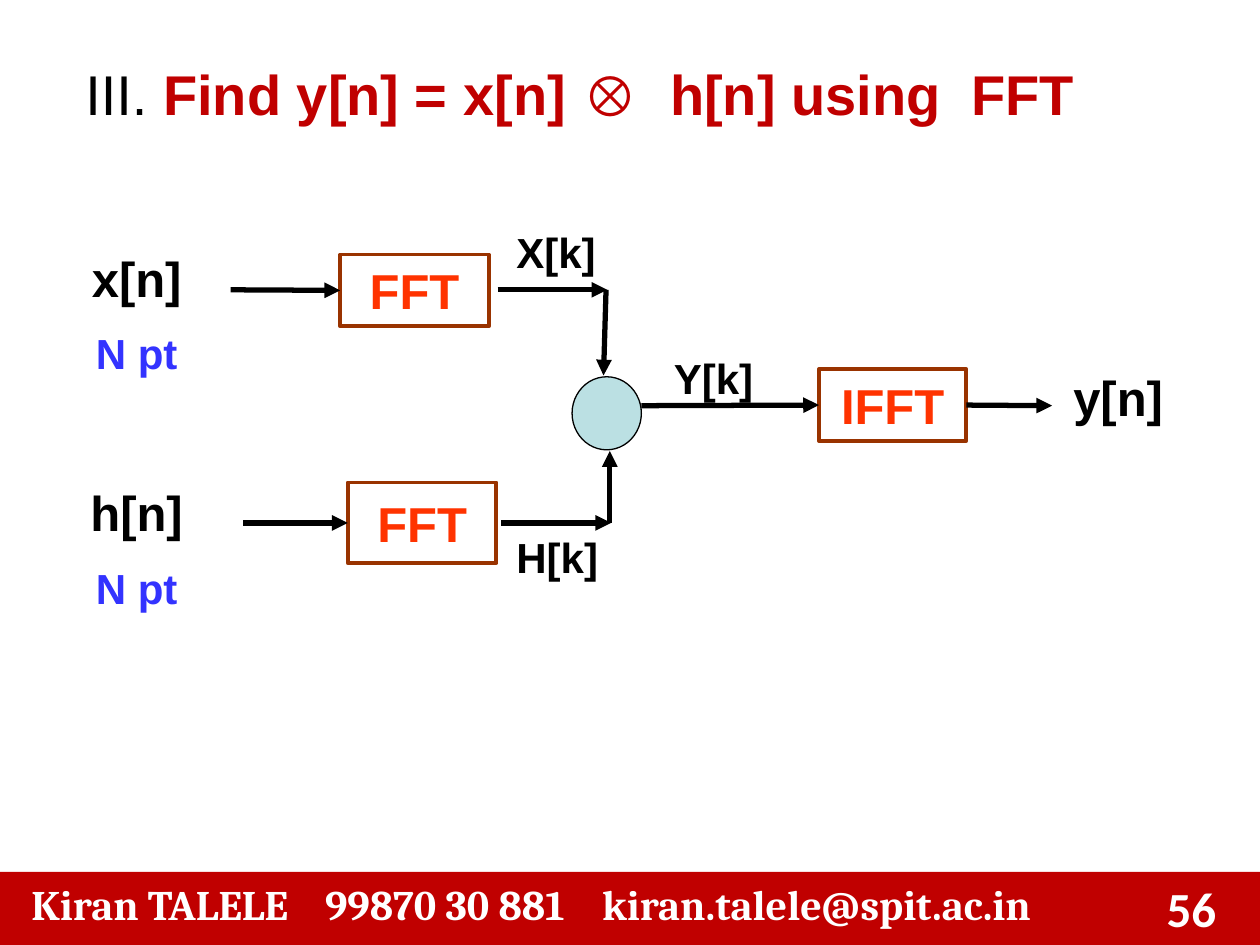
from lxml import etree
from pptx import Presentation
from pptx.dml.color import RGBColor
from pptx.enum.shapes import MSO_CONNECTOR, MSO_SHAPE
from pptx.enum.text import MSO_ANCHOR, PP_ALIGN
from pptx.oxml.ns import qn
from pptx.util import Inches, Pt

STRAIGHT = MSO_CONNECTOR.STRAIGHT
RECTANGLE, OVAL = MSO_SHAPE.RECTANGLE, MSO_SHAPE.OVAL
LEFT, CENTER, RIGHT = PP_ALIGN.LEFT, PP_ALIGN.CENTER, PP_ALIGN.RIGHT
TOP, MIDDLE = MSO_ANCHOR.TOP, MSO_ANCHOR.MIDDLE

COLORS = {
    "ink": "000000", "title": "C00000", "footer": "C00000", "white": "FFFFFF",
    "block_line": "993300", "block_text": "FF3300",
    "points": "3333FF", "multiplier": "BBE0E3",
}

TITLE_NUMBER = "III. "
TITLE_TEXT = "Find y[n] = x[n] ⊗\th[n] using\tFFT"
TITLE_TABS = (4.64, 7.03)
FOOTER = "Kiran TALELE\t99870 30 881\tkiran.talele@spit.ac.in"
FOOTER_TABS = (2.33, 4.53)
PAGE_NUMBER = "56"

# name: (text, left, top, width, height)
BLOCKS = {
    "x_fft": ("FFT", 2.7, 2.02, 1.18, 0.57),
    "h_fft": ("FFT", 2.76, 3.83, 1.18, 0.64),
    "ifft": ("IFFT", 6.5, 2.93, 1.17, 0.57),
}
MULTIPLIER = (4.54, 2.99, 0.55, 0.58)
INPUTS = [("x[n]", 1.92), ("h[n]", 3.78)]
POINTS = "N pt"
# text, left, top, width, height, size
SIGNALS = [
    ("y[n]", 8.42, 2.87, 1.17, 0.57, 28),
    ("X[k]", 4, 1.75, 1, 0.51, 24),
    ("H[k]", 4, 4.17, 1, 0.51, 24),
    ("Y[k]", 5.25, 2.75, 1, 0.51, 24),
]
# Each end is a point or a (block, connection site) pair
X_ROW, H_ROW, Y_ROW = 2.3, 4.15, 3.22
ARROWS = [
    ((1.83, X_ROW), ("x_fft", 1)),
    ((3.95, X_ROW), (4.82, X_ROW)),
    ((4.81, X_ROW), (4.79, 2.98)),
    ((1.93, H_ROW), ("h_fft", 1)),
    ((3.98, H_ROW), (4.85, H_ROW)),
    ((4.84, H_ROW), (4.84, 3.58)),
    ((5.09, Y_ROW), ("ifft", 1)),
    (("ifft", 3), (8.35, Y_ROW)),
]


def rgb(color):
    return RGBColor.from_string(COLORS[color])


def set_font(font, size, color, bold=True, name="Arial"):
    font.size, font.bold, font.name = Pt(size), bold, name
    font.color.rgb = rgb(color)


def add_text_box(slide, left, top, width, height):
    box = slide.shapes.add_textbox(*map(Inches, (left, top, width, height)))
    box.text_frame.word_wrap = True
    return box.text_frame


def add_label(slide, text, bounds, size, color, align=LEFT, name="Arial"):
    paragraph = add_text_box(slide, *bounds).paragraphs[0]
    paragraph.text, paragraph.alignment = text, align
    set_font(paragraph.font, size, color, name=name)


def add_part(slide, preset, bounds, fill=None, line=None, line_width=0.75):
    part = slide.shapes.add_shape(preset, *map(Inches, bounds))
    part.shadow.inherit = False
    if fill:
        part.fill.solid()
        part.fill.fore_color.rgb = rgb(fill)
    else:
        part.fill.background()
    if line:
        part.line.color.rgb = rgb(line)
        part.line.width = Pt(line_width)
    else:
        part.line.fill.background()
    return part


def add_tabs(paragraph, positions):
    tabs = etree.SubElement(paragraph._p.get_or_add_pPr(), qn("a:tabLst"))
    for position in positions:
        etree.SubElement(tabs, qn("a:tab"), pos=str(Inches(position)), algn="l")


def add_arrow(slide, start, end, blocks):
    def joined(point):
        return point[0] in blocks

    # A joined end first takes the free end's place, then moves to its site
    first = end if joined(start) else start
    last = start if joined(end) else end
    arrow = slide.shapes.add_connector(STRAIGHT, *map(Inches, first + last))
    if joined(start):
        arrow.begin_connect(blocks[start[0]], start[1])
    if joined(end):
        arrow.end_connect(blocks[end[0]], end[1])
    arrow.line.color.rgb = rgb("ink")
    arrow.line.width = Pt(3)
    etree.SubElement(arrow.line._get_or_add_ln(), qn("a:tailEnd"), type="triangle")
    etree.SubElement(arrow._element.spPr, qn("a:effectLst"))


def add_title(slide):
    title = add_text_box(slide, 0.58, 0.42, 8.5, 0.64).paragraphs[0]
    add_tabs(title, TITLE_TABS)
    for text, color, bold in ((TITLE_NUMBER, "ink", False), (TITLE_TEXT, "title", True)):
        run = title.add_run()
        run.text = text
        set_font(run.font, 32, color, bold)


def add_diagram(slide):
    blocks = {}
    for name, (text, *bounds) in BLOCKS.items():
        block = add_part(slide, RECTANGLE, bounds, line="block_line", line_width=2.25)
        frame = block.text_frame
        frame.margin_left = frame.margin_right = 0
        frame.vertical_anchor = MIDDLE
        paragraph = frame.paragraphs[0]
        paragraph.text, paragraph.alignment = text, CENTER
        set_font(paragraph.font, 28, "block_text")
        blocks[name] = block
    add_part(slide, OVAL, MULTIPLIER, "multiplier", "ink")

    for start, end in ARROWS:
        add_arrow(slide, start, end, blocks)

    for signal, top in INPUTS:
        frame = add_text_box(slide, 0.5, top, 1.17, 1.18)
        name, points = frame.paragraphs[0], frame.add_paragraph()
        name.text, points.text = signal, POINTS
        name.alignment = points.alignment = CENTER
        points.space_before = Pt(12)
        set_font(name.font, 28, "ink")
        set_font(points.font, 24, "points")
    for text, *bounds, size in SIGNALS:
        add_label(slide, text, bounds, size, "ink")


def add_footer(slide):
    bar = add_part(slide, RECTANGLE, (0, 6.92, 10, 0.58), fill="footer")
    bar.text_frame.margin_left = Inches(0.25)
    bar.text_frame.vertical_anchor = TOP
    paragraph = bar.text_frame.paragraphs[0]
    add_tabs(paragraph, FOOTER_TABS)
    paragraph.text, paragraph.alignment = FOOTER, LEFT
    set_font(paragraph.font, 24, "white", name="Cambria")
    add_label(slide, PAGE_NUMBER, (9.07, 6.92, 0.68, 0.62), 28, "white", RIGHT, "Calibri")


def main():
    deck = Presentation()
    deck.slide_width, deck.slide_height = Inches(10), Inches(7.5)
    slide = deck.slides.add_slide(deck.slide_layouts[6])
    add_title(slide)
    add_diagram(slide)
    add_footer(slide)
    deck.save("out.pptx")


if __name__ == "__main__":
    main()
